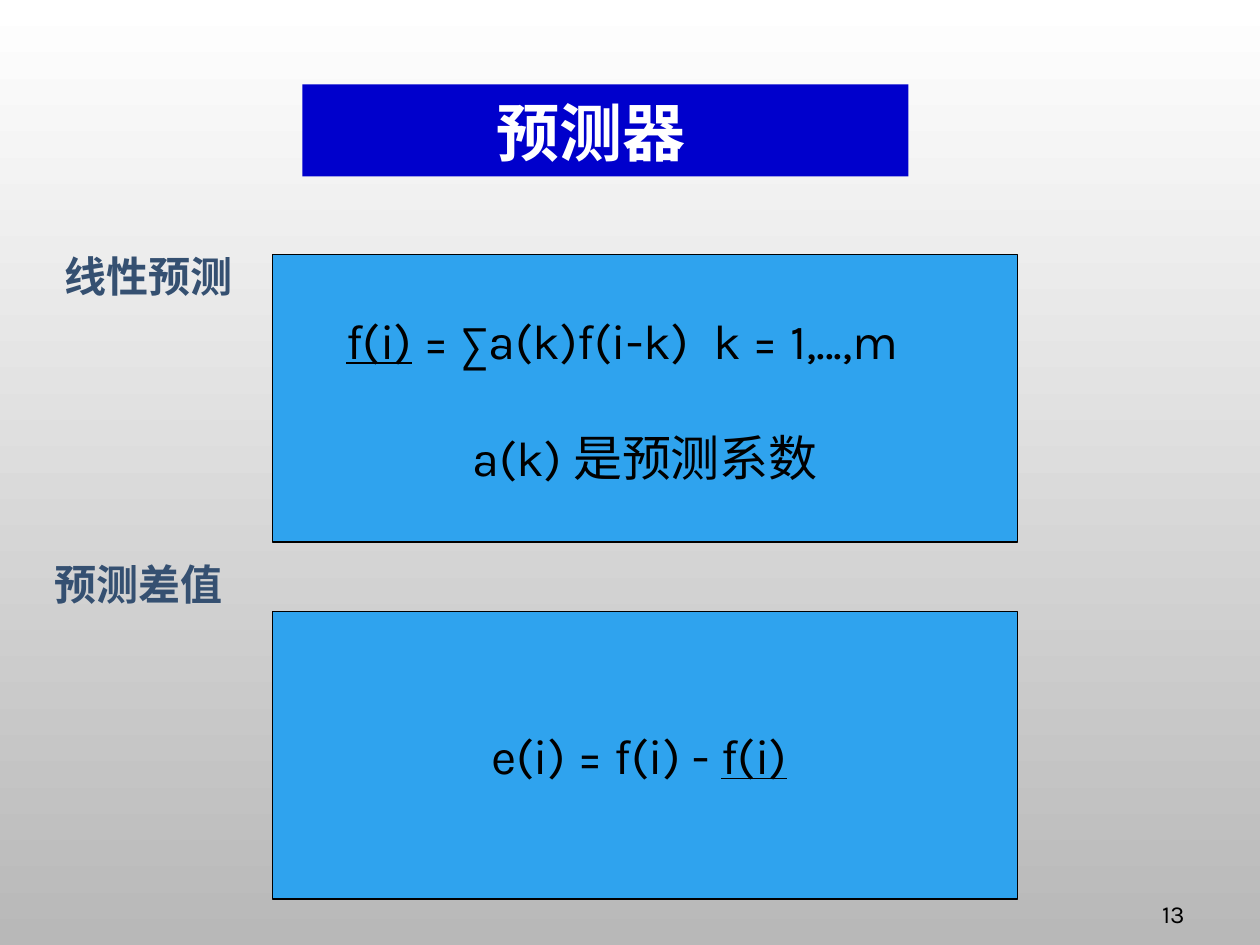
"""Build the slide on linear prediction and the prediction difference."""
from lxml.etree import SubElement
from pptx import Presentation
from pptx.dml.color import RGBColor
from pptx.enum.shapes import MSO_SHAPE
from pptx.enum.text import MSO_ANCHOR, MSO_AUTO_SIZE, PP_ALIGN
from pptx.oxml.ns import qn
from pptx.util import Pt

BLACK = RGBColor(0x00, 0x00, 0x00)
WHITE = RGBColor(0xFF, 0xFF, 0xFF)
GREY = RGBColor(0xB8, 0xB8, 0xB8)
NAVY = RGBColor(0x00, 0x00, 0xCC)
SLATE = RGBColor(0x35, 0x50, 0x71)
SKY = RGBColor(0x2F, 0xA3, 0xEE)
LATIN, CJK = "Karla", "Noto Sans CJK SC"


def add_run(p, text, color, **formats):
    r = p.add_run()
    r.text = text
    r.font.color.rgb = color
    for name, value in formats.items():
        setattr(r.font, name, value)
    SubElement(r.font._element, qn("a:ea"), typeface=CJK)


def format_frame(tf, **formats):
    for name, value in formats.items():
        setattr(tf, name, value)


prs = Presentation()
prs.slide_width, prs.slide_height = Pt(720), Pt(540)
s = prs.slides.add_slide(prs.slide_layouts[5])

fill = s.background.fill
fill.gradient()
fill.gradient_angle = 270
for stop, color, position in zip(fill.gradient_stops, (WHITE, GREY), (0, 1)):
    stop.color.rgb = color
    stop.position = position

title = s.shapes.title
title.left, title.top, title.width, title.height = Pt(172.8), Pt(48.2), Pt(346.3), Pt(52.6)
title.fill.solid()
title.fill.fore_color.rgb = NAVY
format_frame(title.text_frame, vertical_anchor=MSO_ANCHOR.BOTTOM,
             auto_size=MSO_AUTO_SIZE.NONE, margin_right=Pt(24))
p = title.text_frame.paragraphs[0]
p.alignment, p.line_spacing = PP_ALIGN.CENTER, 0.9
add_run(p, "预测器", WHITE, name=CJK, size=Pt(36), bold=True)

for text, left, top in (("线性预测", 36.7, 139.7), ("预测差值", 31, 315.4)):
    label = s.shapes.add_textbox(Pt(left), Pt(top), Pt(138), Pt(36))
    format_frame(label.text_frame, vertical_anchor=MSO_ANCHOR.MIDDLE,
                 word_wrap=True, margin_left=0)
    add_run(label.text_frame.paragraphs[0], text, SLATE,
            name=CJK, size=Pt(24), bold=True)

formulas = (
    (145.5, (
        (("f(i)", True), (" = ∑a(k)f(i-k)\tk = 1,...,m", False)),
        (("a(k) 是预测系数", False),),
    )),
    (349.5, (
        (("e(i) = f(i) - ", False), ("f(i)", True), (" ", False)),
    )),
)
for top, lines in formulas:
    sp = s.shapes.add_shape(MSO_SHAPE.RECTANGLE, Pt(155.8), Pt(top), Pt(425.5), Pt(164.2))
    sp.shadow.inherit = False
    sp.fill.solid()
    sp.fill.fore_color.rgb = SKY
    sp.line.color.rgb = BLACK
    sp.line.width = Pt(0.75)
    tf = sp.text_frame
    format_frame(tf, vertical_anchor=MSO_ANCHOR.MIDDLE, word_wrap=True,
                 margin_left=Pt(36), margin_right=Pt(36))
    for i, runs in enumerate(lines):
        p = tf.paragraphs[0] if i == 0 else tf.add_paragraph()
        p.alignment = PP_ALIGN.CENTER
        if i:
            p.space_before = Pt(33)
        if any("\t" in text for text, _ in runs):
            p.alignment = PP_ALIGN.LEFT
            pPr = p._p.get_or_add_pPr()
            pPr.set("indent", str(Pt(6)))
            tabs = SubElement(pPr, qn("a:tabLst"))
            SubElement(tabs, qn("a:tab"), pos=str(Pt(242.5)), algn="l")
        for text, underline in runs:
            add_run(p, text, BLACK, name=LATIN, size=Pt(28), underline=underline)

number = s.shapes.add_textbox(Pt(534.2), Pt(498.2), Pt(149.8), Pt(36))
format_frame(number.text_frame, vertical_anchor=MSO_ANCHOR.BOTTOM, word_wrap=True)
p = number.text_frame.paragraphs[0]
p.alignment = PP_ALIGN.RIGHT
add_run(p, "13", BLACK, name=LATIN, size=Pt(14))

prs.save("out.pptx")
